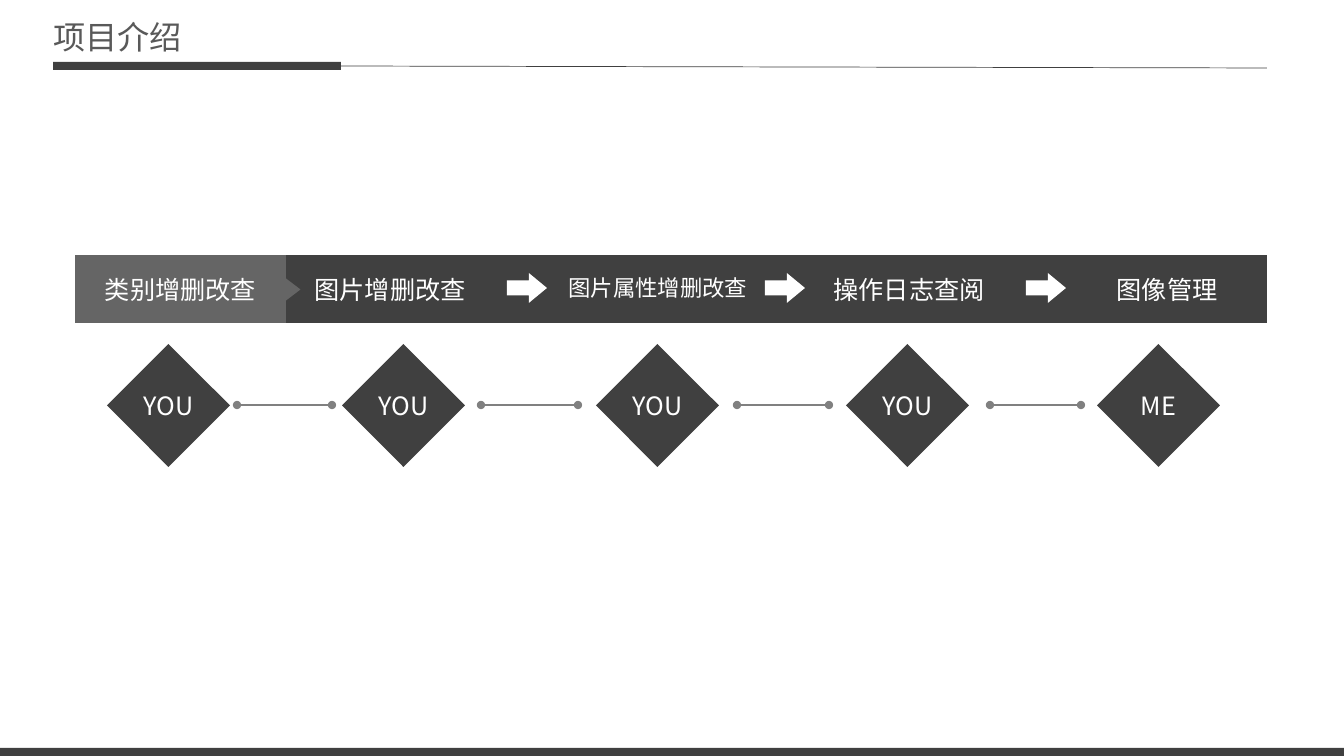
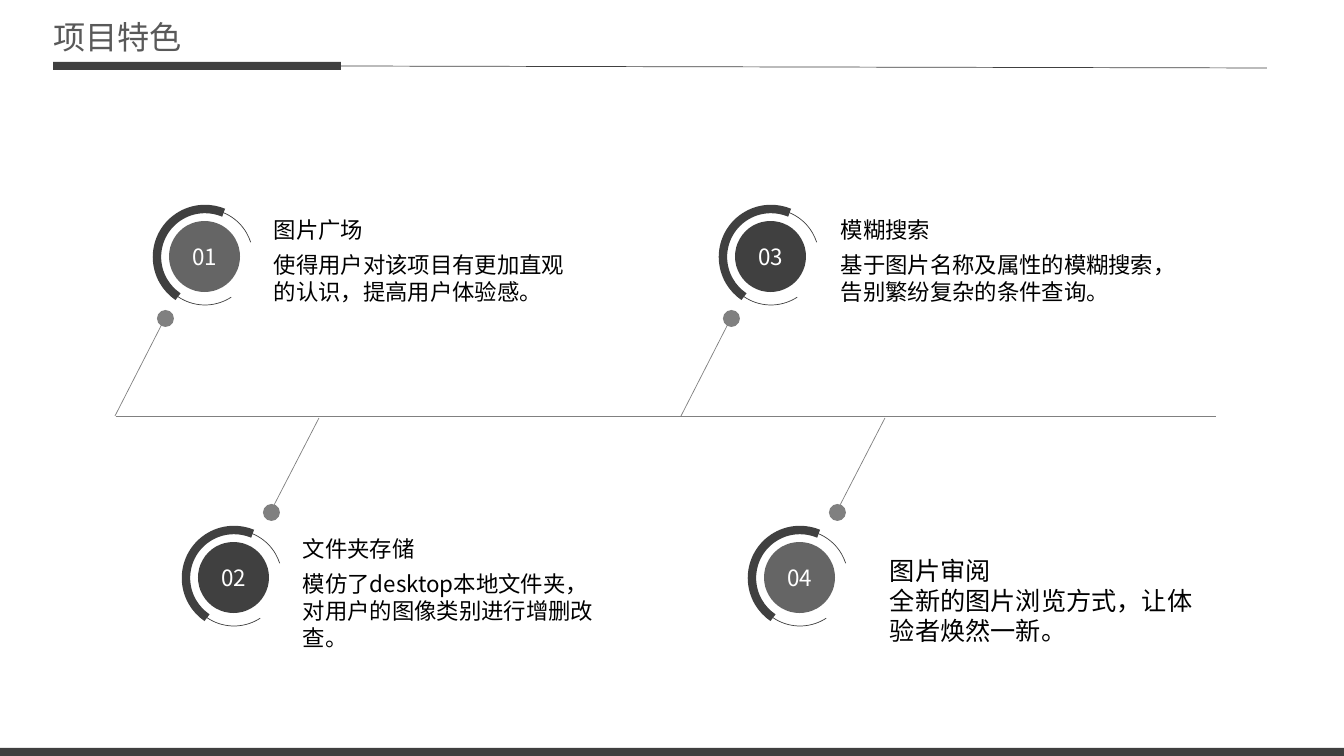
from lxml.etree import SubElement
from pptx import Presentation
from pptx.dml.color import RGBColor
from pptx.enum.shapes import MSO_CONNECTOR, MSO_SHAPE
from pptx.enum.text import MSO_ANCHOR, PP_ALIGN
from pptx.oxml.ns import qn
from pptx.util import Inches, Pt

FONT = "Noto Sans CJK SC"
COLORS = {
    "dark": "404040", "mid": "656565", "gray": "808080",
    "title": "595959", "white": "FFFFFF", "black": "000000",
}
TITLES = ["项目介绍", "项目特色"]

STEPS = [
    ("类别增删改查", 75, 211, 18, "YOU", 107),
    ("图片增删改查", 298, 184, 18, "YOU", 342),
    ("图片属性增删改查", 544, 228, 16, "YOU", 596),
    ("操作日志查阅", 817, 184, 18, "YOU", 846),
    ("图像管理", 1075, 184, 18, "ME", 1097),
]
ARROWS = [507, 765, 1026]
LINKS = [(237, 332), (481, 578), (737, 829), (990, 1081)]

TOP = {"foot": (115, 416), "tip": (162, 324), "dot": (157, 310), "ring": (157, 209)}
LOW = {"foot": (319, 418), "tip": (271, 511), "dot": (263, 504), "ring": (186, 530)}
COLUMN = 566
FEATURES = [
    ("01", TOP, 0, "mid", (264, 211, 325, 100), 16, 6,
     ["图片广场", "使得用户对该项目有更加直观的认识，提高用户体验感。"]),
    ("02", LOW, 0, "dark", (293, 530, 325, 127), 16, 6,
     ["文件夹存储", "模仿了desktop本地文件夹，对用户的图像类别进行增删改查。"]),
    ("03", TOP, 1, "dark", (831, 211, 344, 100), 16, 6,
     ["模糊搜索", "基于图片名称及属性的模糊搜索，告别繁纷复杂的条件查询。"]),
    ("04", LOW, 1, "mid", (880, 550, 342, 102), 18, 0,
     ["图片审阅", "全新的图片浏览方式，让体验者焕然一新。"]),
]
ARCS = [((34.064, 205.289), 0.5), ((74.488, 175.713), 6)]
RING, DISC, DOT = 96, 71, 17


def px(n):
    return round(n * Inches(1) / 100.8)


def rgb(name):
    return RGBColor.from_string(COLORS[name])


def write(frame, lines, size, color, align, gap=0):
    for i, line in enumerate(lines):
        para = frame.paragraphs[0] if i == 0 else frame.add_paragraph()
        para.text = line
        para.alignment = align
        if i and gap:
            para.space_before = Pt(gap)
        font = para.font
        font.size = Pt(size)
        font.color.rgb = rgb(color)
        font.name = FONT
        props = para._p.pPr.find(qn("a:defRPr"))
        SubElement(props, qn("a:ea")).set("typeface", FONT)


def text(slide, box, lines, size, color, align, gap=0):
    frame = slide.shapes.add_textbox(*map(px, box)).text_frame
    frame.word_wrap = True
    write(frame, lines, size, color, align, gap)


def shape(slide, kind, box, fill, label=None, size=18):
    item = slide.shapes.add_shape(kind, *map(px, box))
    item.shadow.inherit = False
    item.fill.solid()
    item.fill.fore_color.rgb = rgb(fill)
    item.line.fill.background()
    if label:
        frame = item.text_frame
        frame.word_wrap = False
        frame.vertical_anchor = MSO_ANCHOR.MIDDLE
        write(frame, [label], size, "white", PP_ALIGN.CENTER)
    return item


def line(slide, start, end, color, width=0.5, oval=False):
    item = slide.shapes.add_connector(
        MSO_CONNECTOR.STRAIGHT, *map(px, (*start, *end)))
    item.line.color.rgb = rgb(color)
    item.line.width = Pt(width)
    if oval:
        for tag in ("a:headEnd", "a:tailEnd"):
            SubElement(item.line._get_or_add_ln(), qn(tag)).set("type", "oval")
    SubElement(item._element.spPr, qn("a:effectLst"))


def arc(slide, box, ends, width):
    item = slide.shapes.add_shape(MSO_SHAPE.ARC, *map(px, box))
    item.shadow.inherit = False
    item.adjustments[0], item.adjustments[1] = ends
    item.fill.background()
    item.line.color.rgb = rgb("dark")
    item.line.width = Pt(width)


def page(deck, name):
    slide = deck.slides.add_slide(deck.slide_layouts[5])
    title = slide.shapes.title
    title.left, title.top, title.width, title.height = map(px, (43, 11, 306, 52))
    title.text_frame.vertical_anchor = MSO_ANCHOR.MIDDLE
    write(title.text_frame, [name], 23, "title", PP_ALIGN.JUSTIFY)
    shape(slide, MSO_SHAPE.RECTANGLE, (53, 62, 288, 8), "dark")
    line(slide, (341, 66), (1267, 68), "dark")
    shape(slide, MSO_SHAPE.RECTANGLE, (-2, 748, 1346, 8), "dark")
    return slide


def flow(slide):
    shape(slide, MSO_SHAPE.RECTANGLE, (76, 255, 1191, 68), "dark")
    for i, (label, left, width, size, who, x) in enumerate(STEPS):
        if i == 0:
            shape(slide, MSO_SHAPE.RECTANGLE, (left, 255, width, 68), "mid", label)
            tip = shape(slide, MSO_SHAPE.ISOSCELES_TRIANGLE, (274, 279, 32, 21), "mid")
            tip.rotation = 90
        else:
            text(slide, (left, 269, width, 40), [label], size, "white", PP_ALIGN.CENTER)
        shape(slide, MSO_SHAPE.DIAMOND, (x, 344, 123, 123), "dark", who)
    for x in ARROWS:
        arrow = shape(slide, MSO_SHAPE.RIGHT_ARROW, (x, 273, 40, 30), "white")
        arrow.adjustments[1] = 0.605
    for start, end in LINKS:
        line(slide, (start, 405), (end, 405), "gray", 1, True)


def bones(slide):
    line(slide, (116, 416), (1216, 416), "gray")
    for num, row, col, fill, box, size, gap, lines in FEATURES:
        spot = {key: (x + col * COLUMN, y) for key, (x, y) in row.items()}
        line(slide, spot["foot"], spot["tip"], "gray")
        shape(slide, MSO_SHAPE.OVAL, (*spot["dot"], DOT, DOT), "gray")
        x, y = spot["ring"]
        pad = (RING - DISC) // 2
        shape(slide, MSO_SHAPE.OVAL, (x + pad, y + pad, DISC, DISC), fill, num, 16)
        for ends, width in ARCS:
            arc(slide, (x, y, RING, RING), ends, width)
        text(slide, box, lines, size, "black", PP_ALIGN.LEFT, gap)


def main():
    deck = Presentation()
    deck.slide_width, deck.slide_height = px(1344), px(756)
    for name, draw in zip(TITLES, (flow, bones)):
        draw(page(deck, name))
    deck.save("out.pptx")


if __name__ == "__main__":
    main()
